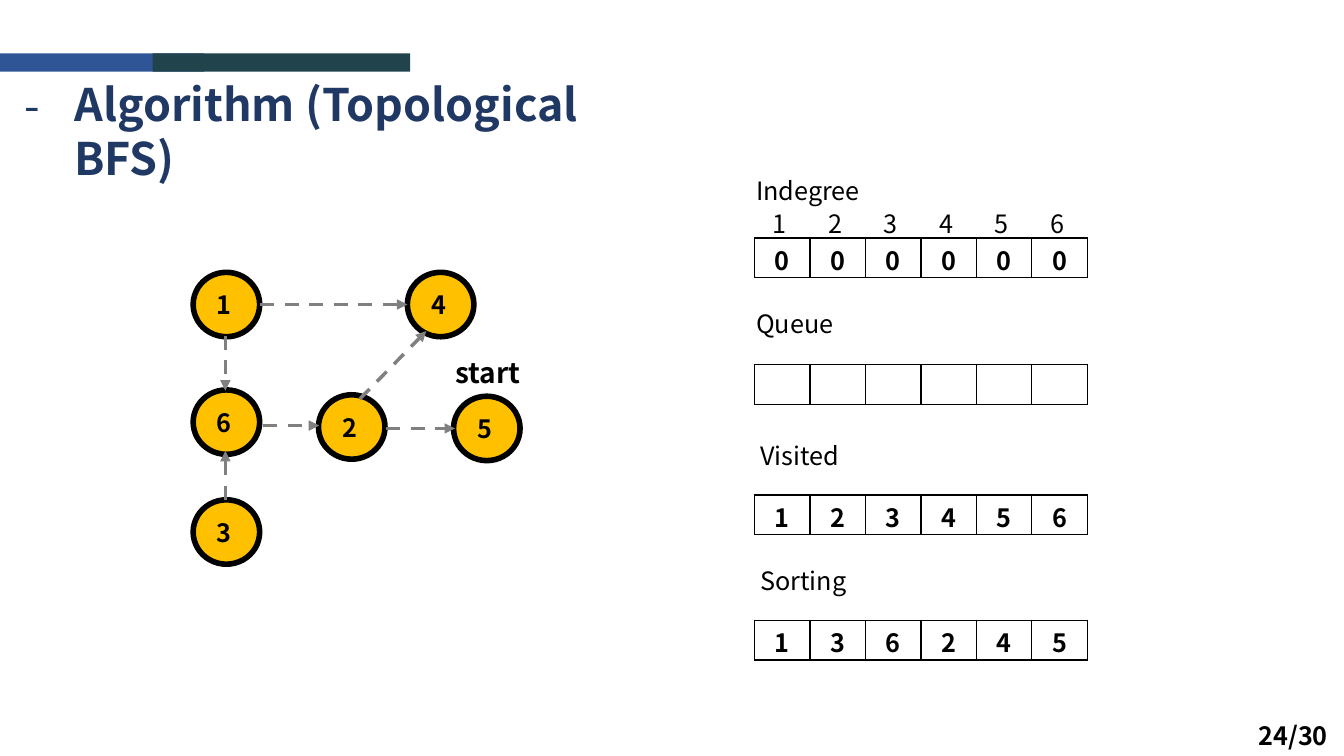
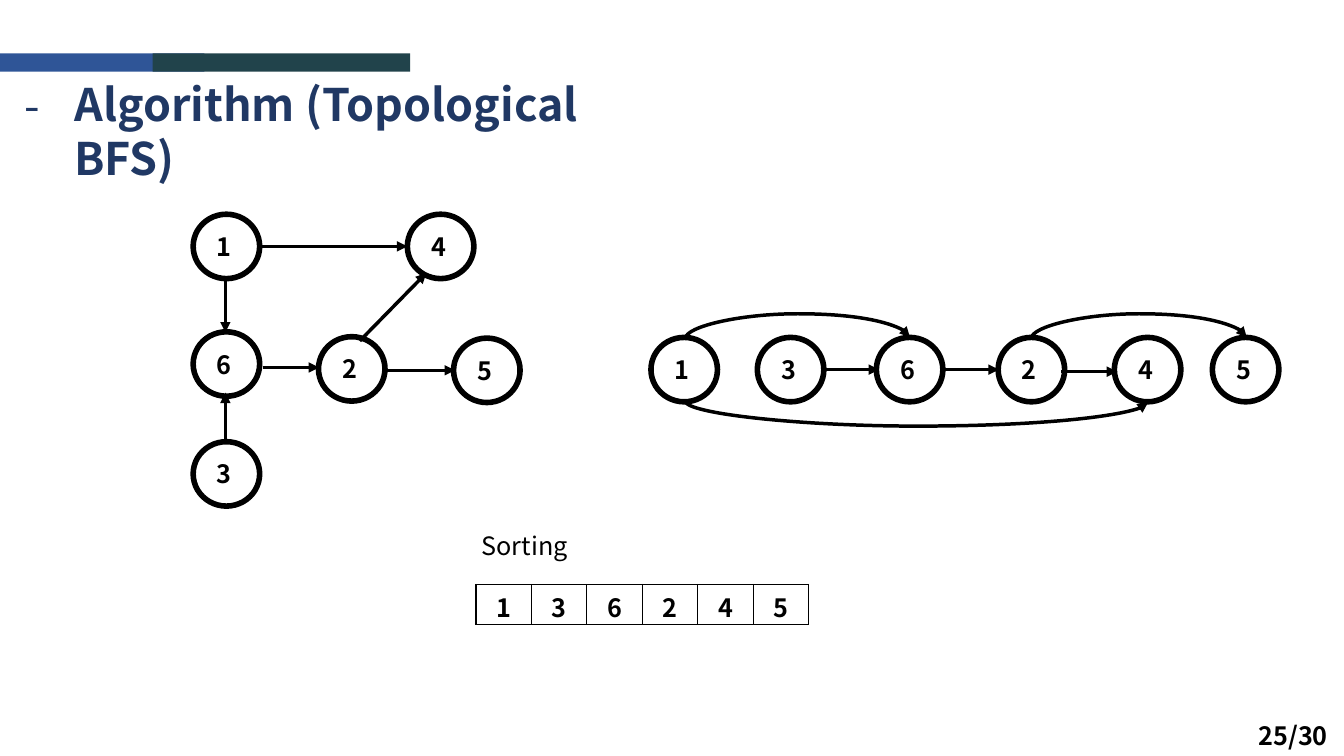
from lxml.etree import SubElement
from pptx import Presentation
from pptx.dml.color import RGBColor
from pptx.enum.dml import MSO_LINE
from pptx.enum.shapes import MSO_CONNECTOR, MSO_SHAPE
from pptx.enum.text import MSO_ANCHOR, MSO_AUTO_SIZE, PP_ALIGN
from pptx.oxml.ns import qn
from pptx.util import Pt

COLORS = {
    "title": "203864",
    "blue": "2F5597",
    "teal": "21434B",
    "black": "000000",
    "gray": "808080",
    "amber": "FFC000",
}
FONT = "Noto Sans CJK KR"
NODE_WIDTH, NODE_HEIGHT = 47.5, 46
COLUMN_WIDTH, ROW_HEIGHT = 39.6, 28.4
ARC_BEND = 18
SORTED = "136245"
GRAPH_NODES = {
    "1": (138, 194.5),
    "2": (227.5, 282),
    "4": (291, 194.5),
    "5": (324, 283),
    "3": (138, 357),
    "6": (138, 278.5),
}
GRAPH_ARROWS = [
    (186, 217.5, 291, 217.5),
    (188, 304, 228, 304),
    (276, 306, 325, 306),
    (161, 240, 161, 279),
    (161, 357, 161, 322),
    (257, 285, 304.5, 236.5),
]


def color(name):
    return RGBColor.from_string(COLORS[name])


class Slides:
    def __init__(self):
        self.deck = Presentation()
        self.deck.slide_width, self.deck.slide_height = Pt(960), Pt(540)
        self.page = None

    def new_page(self, title, number):
        self.page = self.deck.slides.add_slide(self.deck.slide_layouts[5])
        self.title(title)
        self.band(0, 146, "blue")
        self.band(109, 184, "teal")
        self.text(892, 511, 80, number, bold=True)

    def format(self, para, size=18, bold=False, ink="black"):
        for span in para.runs:
            font = span.font
            font.name, font.size, font.bold = FONT, Pt(size), bold
            font.color.rgb = color(ink)

    def title(self, text):
        box = self.page.shapes.title
        box.left, box.top, box.width, box.height = Pt(10), Pt(51), Pt(482), Pt(46)
        frame = box.text_frame
        frame.text = text
        frame.auto_size = MSO_AUTO_SIZE.NONE
        frame.vertical_anchor = MSO_ANCHOR.TOP
        para = frame.paragraphs[0]
        para.alignment = PP_ALIGN.LEFT
        props = para._p.get_or_add_pPr()
        props.set("marL", str(Pt(36)))
        props.set("indent", str(Pt(-36)))
        SubElement(props, qn("a:buFont"), typeface=FONT)
        SubElement(props, qn("a:buChar"), char="-")
        self.format(para, 32, True, "title")

    def band(self, left, width, fill):
        band = self.page.shapes.add_shape(
            MSO_SHAPE.RECTANGLE, Pt(left), Pt(38.2), Pt(width), Pt(13))
        band.shadow.inherit = False
        band.fill.solid()
        band.fill.fore_color.rgb = color(fill)
        band.line.fill.background()

    def text(self, left, top, width, text, size=18, bold=False):
        box = self.page.shapes.add_textbox(Pt(left), Pt(top), Pt(width), Pt(29))
        frame = box.text_frame
        frame.word_wrap = True
        frame.text = text
        self.format(frame.paragraphs[0], size, bold)

    def node(self, left, top, label, fill=None):
        node = self.page.shapes.add_shape(
            MSO_SHAPE.OVAL, Pt(left), Pt(top), Pt(NODE_WIDTH), Pt(NODE_HEIGHT))
        node.shadow.inherit = False
        if fill:
            node.fill.solid()
            node.fill.fore_color.rgb = color(fill)
        else:
            node.fill.background()
        node.line.color.rgb = color("black")
        node.line.width = Pt(4)
        frame = node.text_frame
        frame.margin_left = frame.margin_top = frame.margin_bottom = 0
        frame.margin_right = Pt(3)
        frame.vertical_anchor = MSO_ANCHOR.MIDDLE
        frame.text = label
        frame.paragraphs[0].alignment = PP_ALIGN.CENTER
        self.format(frame.paragraphs[0], bold=True)

    def arrow(self, ends, ink="black", dashed=False, kind=MSO_CONNECTOR.STRAIGHT):
        arrow = self.page.shapes.add_connector(kind, *map(Pt, ends))
        arrow.line.color.rgb = color(ink)
        arrow.line.width = Pt(2.5)
        if dashed:
            arrow.line.dash_style = MSO_LINE.DASH
        props = arrow._element.spPr
        SubElement(props.find(qn("a:ln")), qn("a:tailEnd"), type="triangle")
        SubElement(props, qn("a:effectLst"))
        return arrow

    def arc(self, start, end, level, above=True):
        center, half = (start + end) / 2, (end - start) / 2
        side = 1 if above else -1
        middle = level - side * 0.5
        ends = (center + 0.5, middle + side * half, center - 0.5, middle - side * half)
        props = self.arrow(ends, kind=MSO_CONNECTOR.CURVE)._element.spPr
        props.find(qn("a:xfrm")).set("rot", str((90 if above else 270) * 60000))
        guides = props.find(qn("a:prstGeom")).find(qn("a:avLst"))
        SubElement(guides, qn("a:gd"), name="adj1", fmla=f"val {ARC_BEND * 100000}")

    def graph(self, rise=0, fill=None, ink="black", dashed=False):
        for label, (left, top) in GRAPH_NODES.items():
            self.node(left, top - rise, label, fill)
        for x1, y1, x2, y2 in GRAPH_ARROWS:
            self.arrow((x1, y1 - rise, x2, y2 - rise), ink, dashed)

    def array(self, left, top, values):
        frame = self.page.shapes.add_table(
            1, len(values), Pt(left), Pt(top),
            Pt(COLUMN_WIDTH * len(values)), Pt(ROW_HEIGHT))
        table = frame.table
        table.first_row = table.horz_banding = False
        table.rows[0].height = Pt(ROW_HEIGHT)
        for column, cell, value in zip(table.columns, table.rows[0].cells, values):
            column.width = Pt(COLUMN_WIDTH)
            cell.margin_left = cell.margin_right = Pt(5)
            cell.margin_top = cell.margin_bottom = Pt(2.5)
            self.borders(cell)
            cell.fill.background()
            cell.text = value.strip()
            para = cell.text_frame.paragraphs[0]
            para.alignment = PP_ALIGN.CENTER
            self.format(para, bold=True)

    def borders(self, cell):
        props = cell._tc.get_or_add_tcPr()
        for side in "LRTB":
            line = SubElement(props, qn(f"a:ln{side}"), w=str(Pt(1)))
            fill = SubElement(line, qn("a:solidFill"))
            SubElement(fill, qn("a:srgbClr"), val=COLORS["black"])

    def labelled_array(self, left, top, label, values, gap=42.5, offset=-3):
        self.text(left + offset, top - gap, 200, label)
        self.array(left, top, values)


def main():
    slides = Slides()
    title = "Algorithm (Topological BFS)"

    slides.new_page(title, "24/30")
    slides.graph(fill="amber", ink="gray", dashed=True)
    slides.text(318, 250.5, 61, "start", 20, True)
    slides.labelled_array(539, 170, "Indegree", "000000", 48.5, -6)
    for index in range(6):
        slides.text(545 + index * COLUMN_WIDTH, 145.5, 30, str(index + 1))
    slides.labelled_array(539, 260.5, "Queue", " " * 6, 44, -6)
    slides.labelled_array(539, 353.5, "Visited", "123456")
    slides.labelled_array(539, 443, "Sorting", SORTED)

    slides.new_page(title, "25/30")
    slides.labelled_array(340, 417.5, "Sorting", SORTED)
    for label, left in zip(SORTED, (465, 541, 626, 713, 796, 866)):
        slides.node(left, 241, label)
    slides.arc(489.5, 650, 242)
    slides.arc(489.5, 820, 286.5, above=False)
    slides.arc(736.5, 890.5, 242)
    for start, end, level in ((588, 628, 264), (674, 713.5, 264), (758, 798, 265.5)):
        slides.arrow((start, level, end, level))
    slides.graph(rise=41.5)

    slides.deck.save("out.pptx")


if __name__ == "__main__":
    main()
